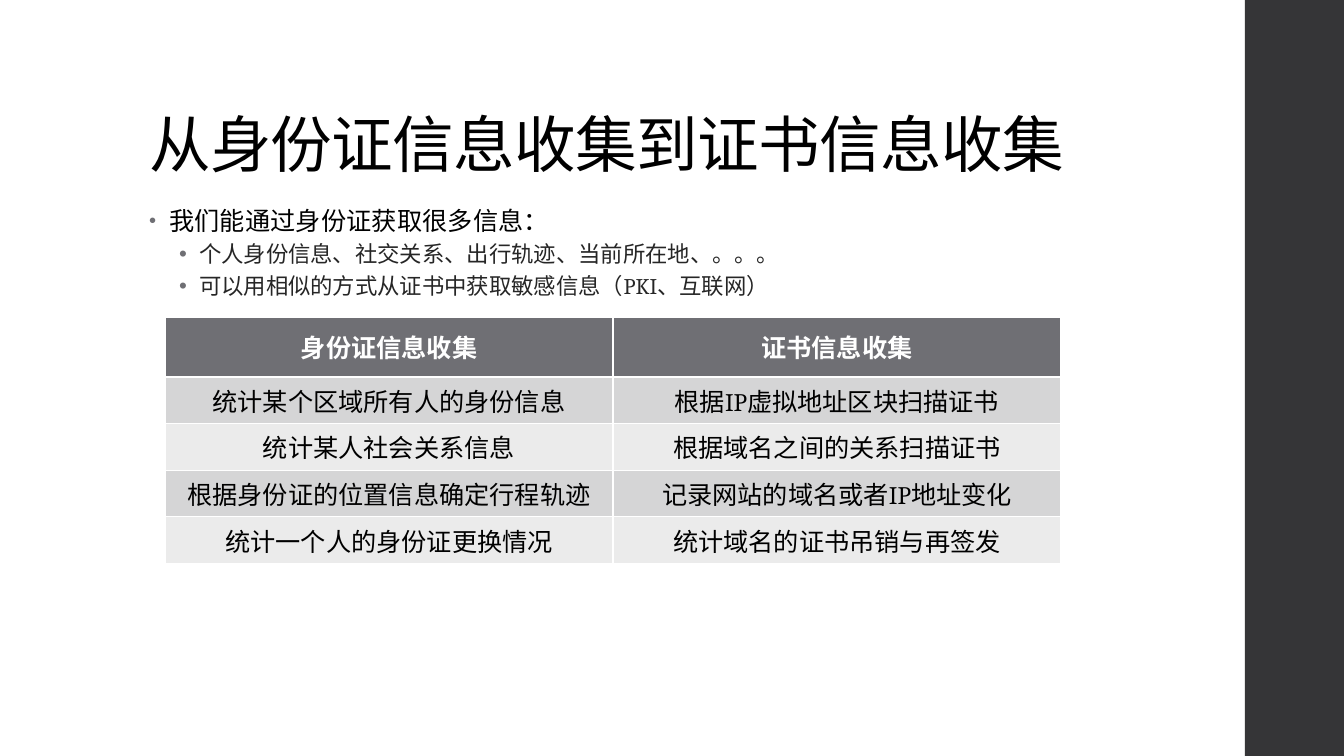
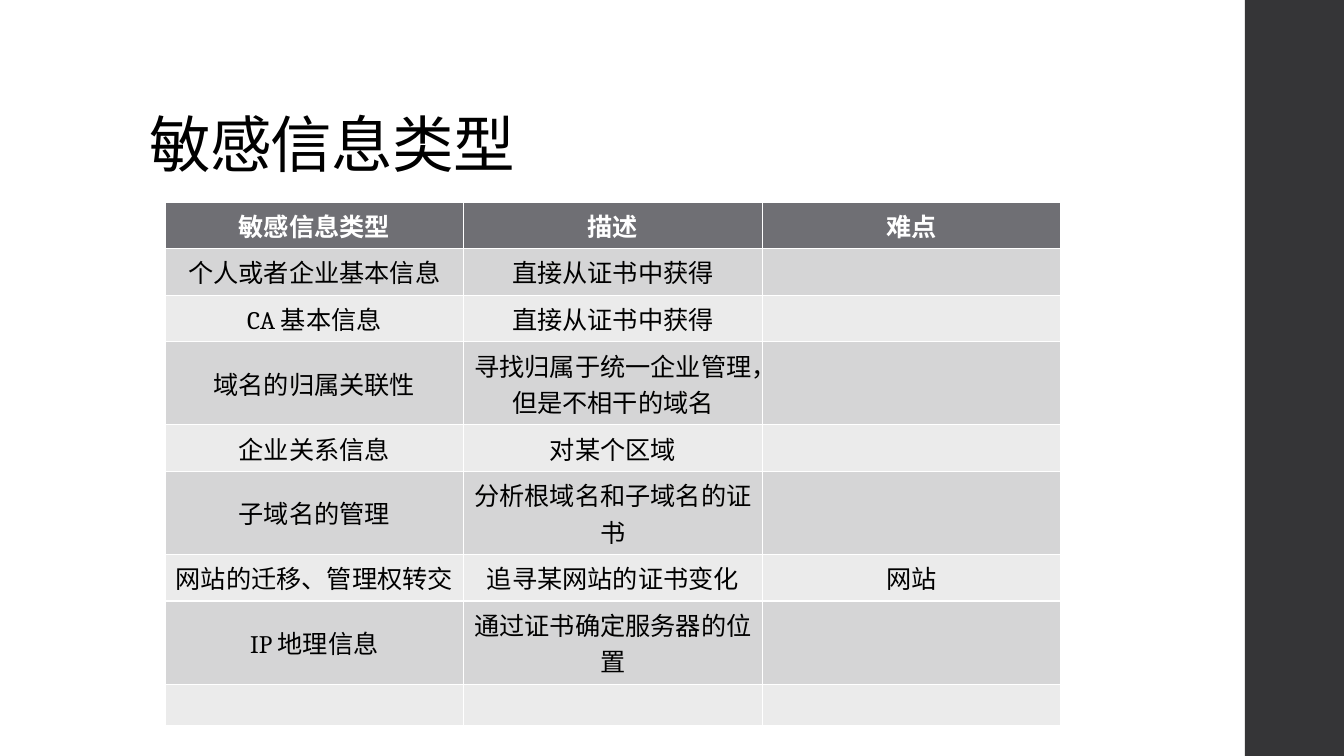
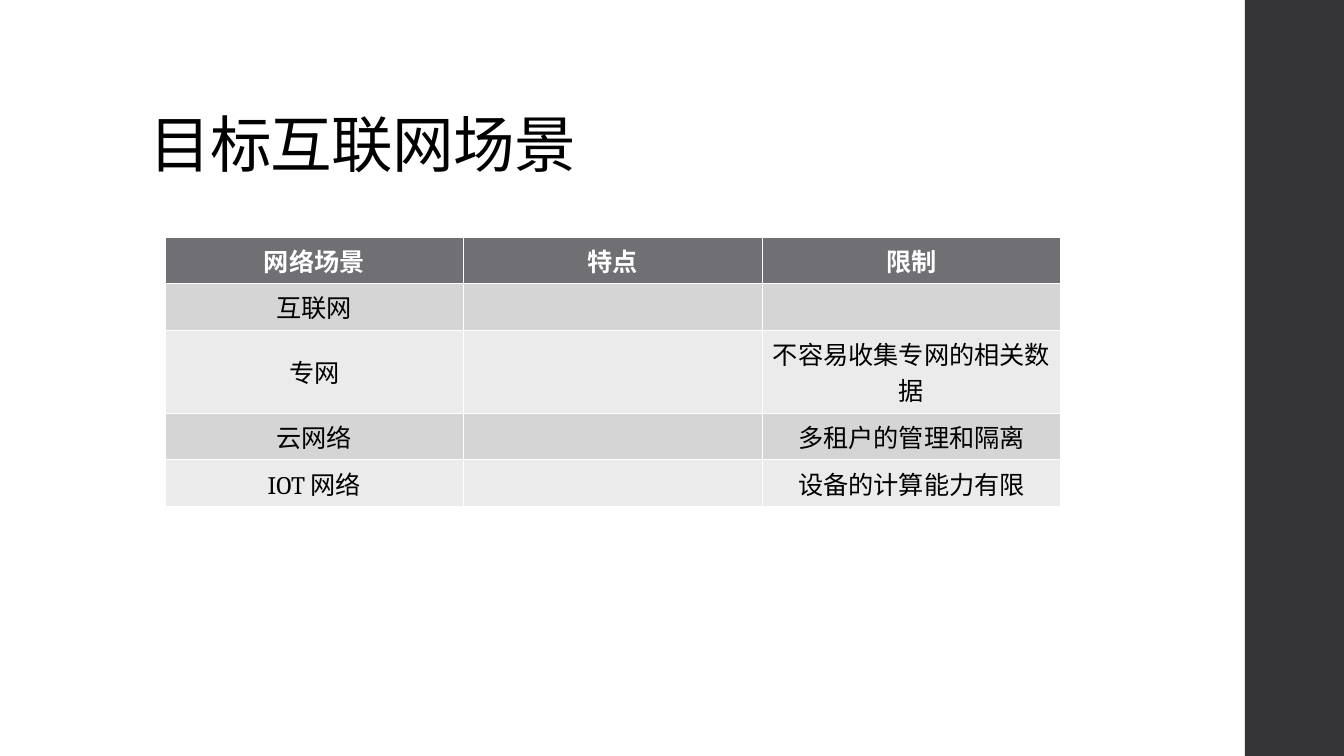
from lxml import etree
from pptx import Presentation
from pptx.dml.color import RGBColor
from pptx.enum.lang import MSO_LANGUAGE_ID as LANG
from pptx.enum.shapes import MSO_SHAPE as SHAPE
from pptx.enum.text import MSO_ANCHOR as ANCHOR, MSO_AUTO_SIZE as FIT, PP_ALIGN as ALIGN
from pptx.oxml.ns import qn
from pptx.util import Pt

PX = 914400 / 100.8
BLACK, WHITE, DARK, GRAY = "000000", "FFFFFF", "353537", "6F6F74"
BANDS = ["EBEBEB", "D5D5D6"]


def px(*lengths):
    return [round(n * PX) for n in lengths]


def style(p, size, color, bold=False, spc=0):
    for r in p.runs:
        r.font.name = "Cambria"
        r.font.size = Pt(size)
        r.font.bold = bold
        r.font.color.rgb = RGBColor.from_string(color)
        r.font.language_id = LANG.SIMPLIFIED_CHINESE
        r.font._element.set("spc", str(spc))


bullets = [
    (0, "我们能通过身份证获取很多信息："),
    (1, "个人身份信息、社交关系、出行轨迹、当前所在地、。。。"),
    (1, "可以用相似的方式从证书中获取敏感信息（PKI、互联网）"),
]
levels = [
    dict(size=18, color=BLACK, spc=10, margin=20, line=0.95, before=14, after=2, bullet=80000),
    dict(size=16, color="262626", spc=0, margin=50, line=0.9, before=3, after=3, bullet=100000),
]
slides = [
    ("从身份证信息收集到证书信息收集", bullets, 317, 60, [
        ["身份证信息收集", "证书信息收集"],
        ["统计某个区域所有人的身份信息", "根据IP虚拟地址区块扫描证书"],
        ["统计某人社会关系信息", "根据域名之间的关系扫描证书"],
        ["根据身份证的位置信息确定行程轨迹", "记录网站的域名或者IP地址变化"],
        ["统计一个人的身份证更换情况", "统计域名的证书吊销与再签发"],
    ]),
    ("敏感信息类型", [], 202, 41, [
        ["敏感信息类型", "描述", "难点"],
        ["个人或者企业基本信息", "直接从证书中获得", ""],
        ["CA 基本信息", "直接从证书中获得", ""],
        ["域名的归属关联性", "寻找归属于统一企业管理，但是不相干的域名", ""],
        ["企业关系信息", "对某个区域", ""],
        ["子域名的管理", "分析根域名和子域名的证书", ""],
        ["网站的迁移、管理权转交", "追寻某网站的证书变化", "网站"],
        ["IP 地理信息", "通过证书确定服务器的位置", ""],
        ["", "", ""],
    ]),
    ("目标互联网场景", [], 237, 43, [
        ["网络场景", "特点", "限制"],
        ["互联网", "", ""],
        ["专网", "", "不容易收集专网的相关数据"],
        ["云网络", "", "多租户的管理和隔离"],
        ["IOT 网络", "", "设备的计算能力有限"],
    ]),
]

prs = Presentation()
prs.slide_width, prs.slide_height = px(1344, 756)

for title, items, top, head, rows in slides:
    s = prs.slides.add_slide(prs.slide_layouts[1 if items else 5])

    band = s.shapes.add_shape(SHAPE.RECTANGLE, *px(1245, 0, 99, 756))
    band.shadow.inherit = False
    band.fill.solid()
    band.fill.fore_color.rgb = RGBColor.from_string(DARK)
    band.line.fill.background()

    sp = s.shapes.title
    sp.left, sp.top, sp.width, sp.height = px(139, 40, 1068, 146)
    tf = sp.text_frame
    tf.text = title
    tf.auto_size = FIT.NONE
    tf.vertical_anchor = ANCHOR.BOTTOM
    p = tf.paragraphs[0]
    p.alignment = ALIGN.LEFT
    p.line_spacing = 0.9
    style(p, 44, BLACK, spc=-50)

    if items:
        sp = s.placeholders[1]
        sp.left, sp.top, sp.width, sp.height = px(139, 202, 948, 480)
        tf = sp.text_frame
        tf.text = "\n".join(text for level, text in items)
        tf.auto_size = FIT.NONE
        for p, (level, text) in zip(tf.paragraphs, items):
            look = levels[level]
            p.level = level
            p.line_spacing = look["line"]
            p.space_before = Pt(look["before"])
            p.space_after = Pt(look["after"])
            style(p, look["size"], look["color"], spc=look["spc"])
            pPr = p._p.get_or_add_pPr()
            margin, indent = px(look["margin"], -20)
            pPr.set("marL", str(margin))
            pPr.set("indent", str(indent))
            color = etree.SubElement(pPr, qn("a:buClr"))
            etree.SubElement(color, qn("a:srgbClr"), val=GRAY)
            etree.SubElement(pPr, qn("a:buSzPct"), val=str(look["bullet"]))
            etree.SubElement(pPr, qn("a:buChar"), char="•")

    heights = [head] + [41] * (len(rows) - 1)
    table = s.shapes.add_table(len(rows), len(rows[0]), *px(165, top, 896, sum(heights))).table
    for i, (row, height) in enumerate(zip(rows, heights)):
        table.rows[i].height = px(height)[0]
        for j, text in enumerate(row):
            cell = table.cell(i, j)
            cell.fill.solid()
            cell.fill.fore_color.rgb = RGBColor.from_string(BANDS[i % 2] if i else GRAY)
            cell.vertical_anchor = ANCHOR.MIDDLE
            if text:
                cell.text_frame.text = text
                p = cell.text_frame.paragraphs[0]
                p.alignment = ALIGN.CENTER
                style(p, 18, BLACK if i else WHITE, bold=i == 0)

prs.save("out.pptx")
